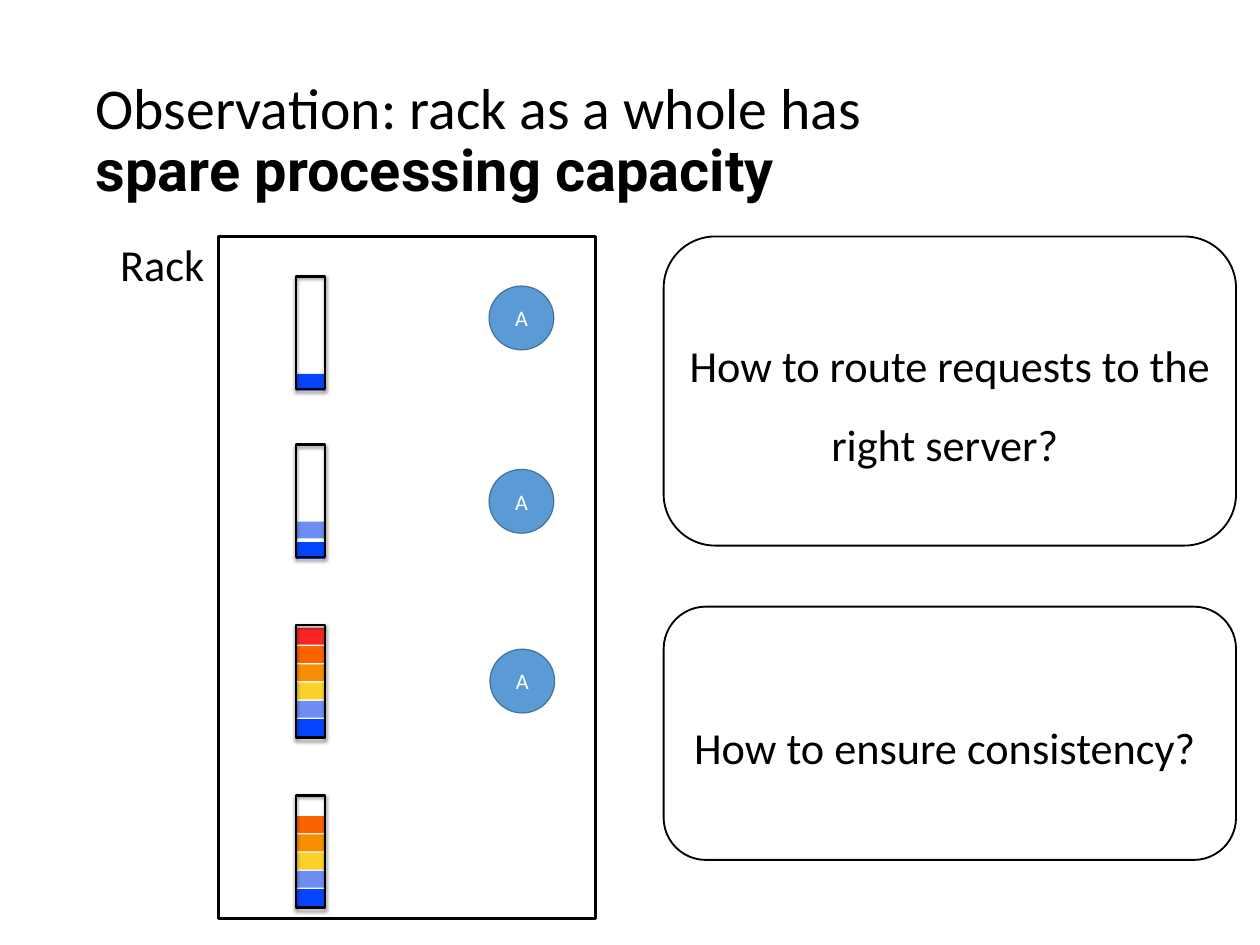
from dataclasses import dataclass

from lxml.etree import SubElement
from pptx import Presentation
from pptx.dml.color import RGBColor
from pptx.enum.shapes import MSO_SHAPE
from pptx.enum.text import MSO_ANCHOR, PP_ALIGN
from pptx.oxml.ns import qn
from pptx.util import Inches, Pt


@dataclass(frozen=True)
class Theme:
    font: str = "Calibri"
    strong_font: str = "Roboto"
    black: str = "000000"
    white: str = "FFFFFF"
    node: str = "5B9BD5"
    node_line: str = "43739E"
    # Load colours, from the lowest level to the highest
    levels: tuple[str, ...] = (
        "0545FF", "6D8DF1", "FAD129", "F78F00", "FB6200", "FA2624")
    title_size: float = 46.9
    body_size: float = 36
    node_size: float = 18


@dataclass(frozen=True)
class Gauge:
    top: float
    load: int
    base: float = 1.06
    step: float = 0.206


@dataclass(frozen=True)
class Node:
    left: float
    top: float


@dataclass(frozen=True)
class Question:
    top: float
    height: float
    text: str


THEME = Theme()
GAUGES = (
    Gauge(3.12, 1, base=1.1),
    Gauge(5.02, 2, base=1.1, step=0.23),
    Gauge(7.06, 6),
    Gauge(8.98, 5),
)
NODES = (Node(5.52, 3.23), Node(5.52, 5.3), Node(5.53, 7.33))
QUESTIONS = (
    Question(2.67, 3.49, "How to route requests to the right server? "),
    Question(6.85, 2.86, "How to ensure consistency? "),
)


def add_box(shapes, kind, left: float, top: float, width: float, height: float,
            fill: str | None = None, line: str | None = None,
            weight: float = 1):
    sp = shapes.add_shape(kind, Inches(left), Inches(top),
                          Inches(width), Inches(height))
    sp.shadow.inherit = False
    if fill:
        sp.fill.solid()
        sp.fill.fore_color.rgb = RGBColor.from_string(fill)
    else:
        sp.fill.background()
    if line:
        sp.line.color.rgb = RGBColor.from_string(line)
        sp.line.width = Pt(weight)
    else:
        sp.line.fill.background()
    return sp


def add_text(p, text: str, *, size: float, color: str = THEME.black,
             font: str = THEME.font, bold: bool = False,
             align=PP_ALIGN.CENTER, spacing: float = 1.0) -> None:
    p.alignment = align
    p.line_spacing = spacing
    r = p.add_run()
    r.text = text
    r.font.name = font
    r.font.size = Pt(size)
    r.font.bold = bold
    r.font.color.rgb = RGBColor.from_string(color)


def add_text_box(slide, left: float, top: float, width: float, height: float,
                 anchor=MSO_ANCHOR.TOP):
    sp = slide.shapes.add_textbox(Inches(left), Inches(top),
                                  Inches(width), Inches(height))
    tf = sp.text_frame
    tf.word_wrap = True
    tf.vertical_anchor = anchor
    return tf.paragraphs[0]


def add_shadow(sp) -> None:
    effects = sp._element.spPr.find(qn("a:effectLst"))
    shadow = SubElement(effects, qn("a:outerShdw"), blurRad=str(Pt(3)),
                        dist=str(Pt(2)), dir="5400000", rotWithShape="0")
    color = SubElement(shadow, qn("a:srgbClr"), val=THEME.black)
    SubElement(color, qn("a:alpha"), val="50000")


def draw_title(slide) -> None:
    p = add_text_box(slide, 0.98, 0.57, 12.27, 2.06, MSO_ANCHOR.MIDDLE)
    style = {"size": THEME.title_size, "align": PP_ALIGN.LEFT, "spacing": 0.9}
    add_text(p, "Observation: rack as a whole has ", **style)
    p.add_line_break()
    add_text(p, "spare processing capacity", font=THEME.strong_font,
             bold=True, **style)


def draw_gauge(slide, gauge: Gauge) -> None:
    shapes = slide.shapes.add_group_shape().shapes
    for i, color in enumerate(THEME.levels[:gauge.load]):
        top = gauge.top + gauge.base - i * gauge.step
        add_box(shapes, MSO_SHAPE.RECTANGLE, 3.34, top, 0.33, 0.19, fill=color)
    add_shadow(add_box(shapes, MSO_SHAPE.RECTANGLE, 3.34, gauge.top,
                       0.33, 1.27, line=THEME.black, weight=2))


def draw_node(slide, node: Node) -> None:
    sp = add_box(slide.shapes, MSO_SHAPE.OVAL, node.left, node.top, 0.73, 0.72,
                 fill=THEME.node, line=THEME.node_line)
    add_text(sp.text_frame.paragraphs[0], "A", size=THEME.node_size,
             color=THEME.white)


def draw_question(slide, question: Question) -> None:
    sp = add_box(slide.shapes, MSO_SHAPE.ROUNDED_RECTANGLE, 7.49, question.top,
                 6.46, question.height, fill=THEME.white, line=THEME.black,
                 weight=1.5)
    add_text(sp.text_frame.paragraphs[0], question.text, size=THEME.body_size,
             spacing=1.5)


def main() -> None:
    prs = Presentation()
    prs.slide_width, prs.slide_height = Inches(14.22), Inches(10.67)
    slide = prs.slides.add_slide(prs.slide_layouts[6])

    draw_title(slide)

    # Rack with its load gauges and server nodes
    for gauge in GAUGES:
        draw_gauge(slide, gauge)
    add_box(slide.shapes, MSO_SHAPE.RECTANGLE, 2.47, 2.67, 4.25, 7.7,
            line=THEME.black, weight=2.25)
    add_text(add_text_box(slide, 1.19, 2.63, 1.28, 0.73), "Rack",
             size=THEME.body_size)
    for node in NODES:
        draw_node(slide, node)

    # Open questions
    for question in QUESTIONS:
        draw_question(slide, question)

    prs.save("out.pptx")


if __name__ == "__main__":
    main()
